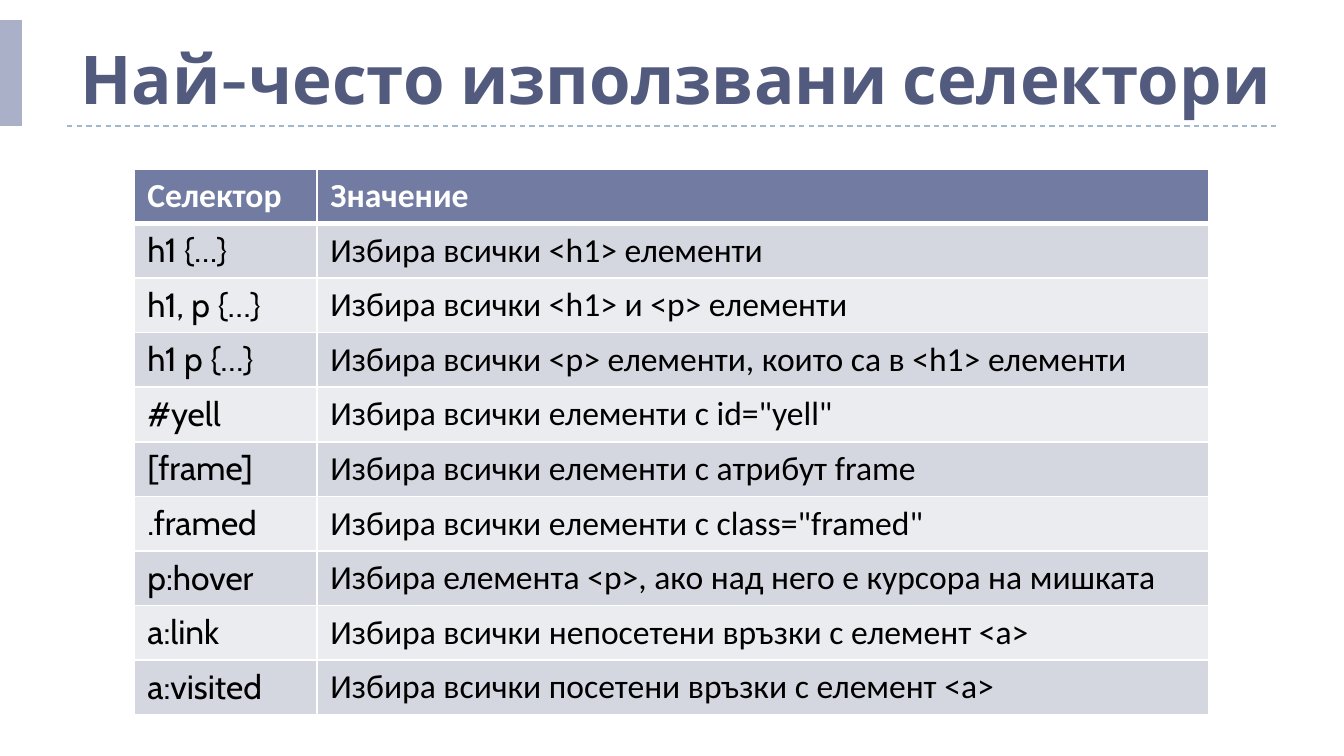
from lxml.etree import SubElement
from pptx import Presentation
from pptx.dml.color import RGBColor
from pptx.enum.dml import MSO_LINE
from pptx.enum.shapes import MSO_CONNECTOR, MSO_SHAPE
from pptx.enum.text import MSO_ANCHOR
from pptx.oxml.ns import qn
from pptx.util import Pt

TITLE = "Най-често използвани селектори"
HEADER = ("Селектор", "Значение")
ROWS = [
    ("h1 {…}", "Избира всички <h1> елементи"),
    ("h1, p {…}", "Избира всички <h1> и <p> елементи"),
    ("h1 p {…}", "Избира всички <p> елементи, които са в <h1> елементи"),
    ("#yell", 'Избира всички елементи с id="yell"'),
    ("[frame]", "Избира всички елементи с атрибут frame"),
    (".framed", 'Избира всички елементи с class="framed"'),
    ("p:hover", "Избира елемента <p>, ако над него е курсора на мишката"),
    ("a:link", "Избира всички непосетени връзки с елемент <a>"),
    ("a:visited", "Избира всички посетени връзки с елемент <a>"),
]
COLORS = {
    "title": "525B7E", "accent": "AAB0C8", "rule": "9FB8CD",
    "header": "727CA3", "odd": "D5D7E0", "even": "EBECF0",
    "white": "FFFFFF", "black": "000000",
}
COL_WIDTHS = (183, 892)
TABLE_LEFT, TABLE_TOP, TABLE_HEIGHT = 134, 169, 546
RULE_Y = 126


def px(n):
    return round(n * 914400 / 134.4)


def rgb(name):
    return RGBColor.from_string(COLORS[name])


def write(tf, text, *, size=18, font="Calibri", color="black", bold=False):
    r = tf.paragraphs[0].add_run()
    r.text = text
    r.font.size, r.font.name, r.font.bold = Pt(size), font, bold
    r.font.color.rgb = rgb(color)


def set_borders(cell, **widths):
    """Draw white borders 1 pt wide, or as given per side (T, B)."""
    tc_pr = cell._tc.get_or_add_tcPr()
    for side in "LRTB":
        ln = SubElement(tc_pr, qn("a:ln" + side), w=str(Pt(widths.get(side, 1))))
        fill = SubElement(ln, qn("a:solidFill"))
        SubElement(fill, qn("a:srgbClr"), val=COLORS["white"])


prs = Presentation()
prs.slide_width, prs.slide_height = px(1344), px(756)
slide = prs.slides.add_slide(prs.slide_layouts[6])
shapes = slide.shapes

rule = shapes.add_connector(MSO_CONNECTOR.STRAIGHT, px(67), px(RULE_Y), px(1277), px(RULE_Y))
rule.line.color.rgb = rgb("rule")
rule.line.width = Pt(0.75)
rule.line.dash_style = MSO_LINE.DASH
SubElement(rule._element.spPr, qn("a:effectLst"))

accent = shapes.add_shape(MSO_SHAPE.RECTANGLE, 0, px(20), px(22), px(RULE_Y - 20))
accent.shadow.inherit = False
accent.fill.solid()
accent.fill.fore_color.rgb = rgb("accent")
accent.line.fill.background()

title = shapes.add_textbox(px(67), px(16), px(1254), px(109))
title.text_frame.word_wrap = True
title.text_frame.vertical_anchor = MSO_ANCHOR.BOTTOM
write(title.text_frame, TITLE, size=36, font="Cabin", color="title", bold=True)

lines = [HEADER, *ROWS]
table = shapes.add_table(len(lines), len(HEADER), px(TABLE_LEFT), px(TABLE_TOP),
                         px(sum(COL_WIDTHS)), px(TABLE_HEIGHT)).table
for column, width in zip(table.columns, COL_WIDTHS):
    column.width = px(width)
for i, line in enumerate(lines):
    table.rows[i].height = px(TABLE_HEIGHT / len(lines))
    for j, text in enumerate(line):
        cell = table.cell(i, j)
        set_borders(cell, T=3 if i == 1 else 1, B=3 if i == 0 else 1)
        cell.fill.solid()
        if i == 0:
            cell.fill.fore_color.rgb = rgb("header")
            write(cell.text_frame, text, color="white", bold=True)
        else:
            cell.fill.fore_color.rgb = rgb("odd" if i % 2 else "even")
            write(cell.text_frame, text, font="Calibri" if j else "Cabin")

prs.save("out.pptx")
